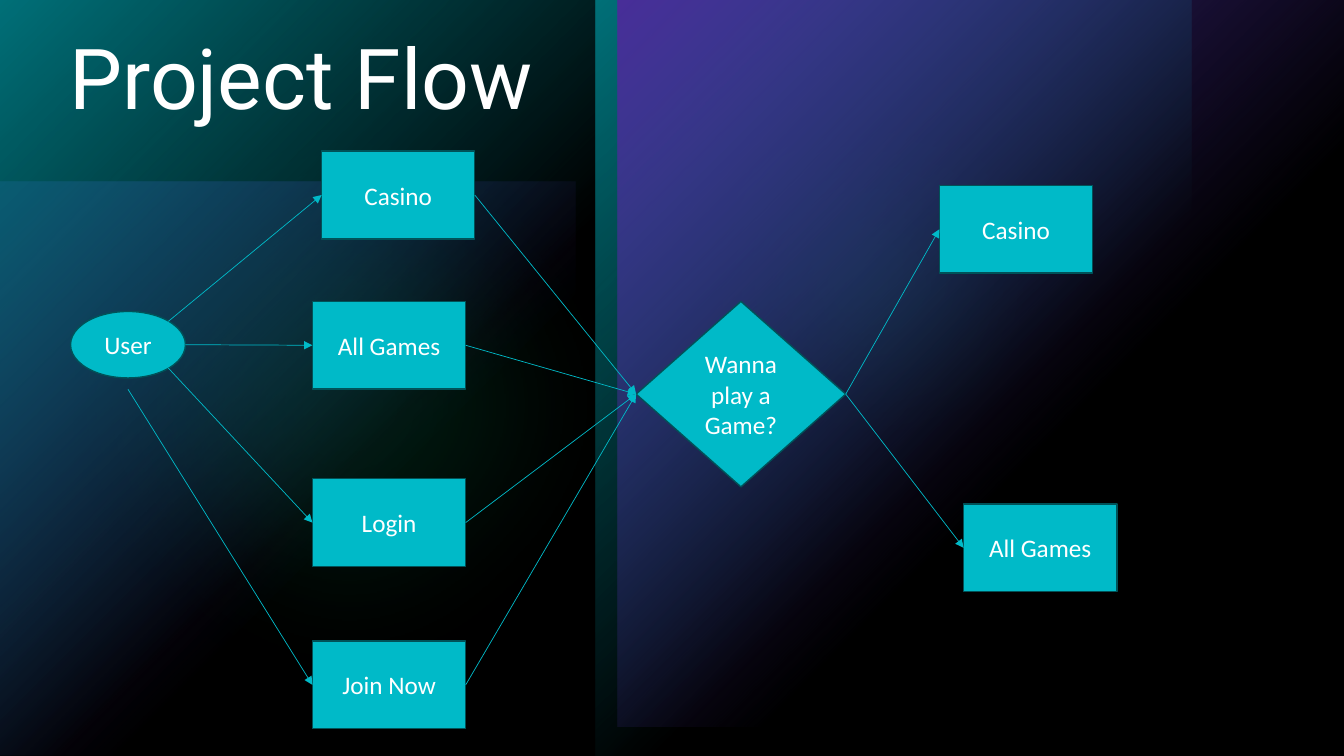
from dataclasses import dataclass

from lxml import etree
from pptx import Presentation
from pptx import util as u
from pptx.dml.color import RGBColor
from pptx.enum import shapes, text
from pptx.oxml import ns

SHAPE = shapes.MSO_SHAPE
LEFT_SITE, RIGHT_SITE = 1, 3
NODE_SIZE = (11.4, 11.6)


@dataclass(frozen=True)
class Theme:
    """Colours, fonts and type sizes of the slide."""
    black: str = "000000"
    white: str = "FFFFFF"
    teal: str = "00BAC8"
    edge: str = "005258"
    purple: str = "794DFF"
    green: str = "00D17D"
    title_font: str = "Roboto"
    node_font: str = "Calibri"
    title_size: int = 60
    node_size: int = 18


THEME = Theme()
WIDTH, HEIGHT = u.Inches(13.333), u.Inches(7.5)


def across(share):
    """Turn a percentage of the slide width into a length."""
    return u.Emu(round(WIDTH * share / 100))


def down(share):
    """Turn a percentage of the slide height into a length."""
    return u.Emu(round(HEIGHT * share / 100))


def frame(left, top, width, height):
    """Turn four percentages into a position and a size."""
    return across(left), down(top), across(width), down(height)


def add_child(parent, tag, **attributes):
    """Append a DrawingML element to a parent element."""
    child = etree.SubElement(parent, ns.qn(tag))
    for name, value in attributes.items():
        child.set(name, str(value))
    return child


def add_colour(parent, colour, alpha):
    """Append a colour with an opacity in percent."""
    element = add_child(parent, "a:srgbClr", val=colour)
    add_child(element, "a:alpha", val=alpha * 1000)


def add_plain(page, kind, place):
    """Draw a shape without shadow or outline."""
    shape = page.shapes.add_shape(kind, *frame(*place))
    shape.shadow.inherit = False
    shape.line.fill.background()
    return shape


def add_fade(page, place, colour, alpha=100):
    """Draw a rectangle that fades out from its top left corner."""
    shape = add_plain(page, SHAPE.RECTANGLE, place)
    shape.fill.gradient()
    gradient = shape.fill._fill._gradFill
    for child in list(gradient):
        gradient.remove(child)
    stops = add_child(gradient, "a:gsLst")
    for position, opacity in ((0, alpha), (60, 0), (100, 0)):
        stop = add_child(stops, "a:gs", pos=position * 1000)
        add_colour(stop, colour, opacity)
    add_child(gradient, "a:lin", ang=45 * 60000, scaled=0)


def add_veil(page, kind, place, colour, alpha):
    """Draw a shape with a transparent solid fill."""
    shape = add_plain(page, kind, place)
    shape.fill.solid()
    shape.fill.fore_color.rgb = RGBColor.from_string(colour)
    value = shape._element.spPr.find(".//" + ns.qn("a:srgbClr"))
    add_child(value, "a:alpha", val=alpha * 1000)
    return shape


def add_glow(page, place, alpha):
    """Draw a green ellipse with a soft edge."""
    shape = add_veil(page, SHAPE.OVAL, place, THEME.green, alpha)
    effects = shape._element.spPr.find(ns.qn("a:effectLst"))
    add_child(effects, "a:softEdge", rad=u.Pt(100))


def add_backdrop(page):
    """Paint the black background with its coloured lights."""
    page.background.fill.solid()
    page.background.fill.fore_color.rgb = RGBColor.from_string(THEME.black)
    add_fade(page, (0, 24, 42.83, 76), THEME.purple, 60)
    add_glow(page, (47.18, 5.73, 35.4, 62.93), 60)
    add_glow(page, (0, 7.47, 52.05, 92.53), 20)
    for left in (0, 44.33):
        add_fade(page, (left, 0, 44.33, 100), THEME.teal)
    add_fade(page, (45.98, 0, 54.02, 96.13), THEME.purple)
    add_veil(page, SHAPE.RECTANGLE, (0, 0, 100, 100), THEME.black, 40)


def write(box, words, font, size):
    """Put one white paragraph, centred vertically, into a box."""
    box.text_frame.text = words
    box.text_frame.word_wrap = True
    box.text_frame.vertical_anchor = text.MSO_ANCHOR.MIDDLE
    para = box.text_frame.paragraphs[0]
    span = para.runs[0]
    span.font.name = font
    span.font.size = u.Pt(size)
    span.font.color.rgb = RGBColor.from_string(THEME.white)
    return para


def add_title(page, words):
    """Write the slide title."""
    box = page.shapes.add_textbox(*frame(4.43, 3.6, 73.73, 14.67))
    write(box, words, THEME.title_font, THEME.title_size).line_spacing = 0.9


def add_node(page, words, left, top, size=NODE_SIZE, kind=SHAPE.RECTANGLE):
    """Draw one labelled step of the flow."""
    node = add_plain(page, kind, (left, top, *size))
    node.fill.solid()
    node.fill.fore_color.rgb = RGBColor.from_string(THEME.teal)
    node.line.color.rgb = RGBColor.from_string(THEME.edge)
    node.line.width = u.Pt(1)
    para = write(node, words, THEME.node_font, THEME.node_size)
    para.alignment = text.PP_ALIGN.CENTER
    return node


def add_arrow(page, source, target, start=None):
    """Link two steps, from a given point or from the right of the source."""
    x, y = start or (0, 0)
    arrow = page.shapes.add_connector(shapes.MSO_CONNECTOR.STRAIGHT, x, y, x, y)
    if start is None:
        arrow.begin_connect(source, RIGHT_SITE)
    arrow.end_connect(target, LEFT_SITE)
    arrow.line.color.rgb = RGBColor.from_string(THEME.teal)
    arrow.line.width = u.Pt(0.5)
    add_child(arrow.line._get_or_add_ln(), "a:tailEnd", type="triangle")
    add_child(arrow._element.spPr, "a:effectLst")


def point_on(node, share_x, share_y):
    """Find a point at given shares of a node's width and height."""
    return (round(node.left + node.width * share_x),
            round(node.top + node.height * share_y))


def add_flow(page):
    """Draw the steps and the arrows between them."""
    options = [add_node(page, *item) for item in (
        ("Casino", 23.93, 20), ("All Games", 23.25, 39.87),
        ("Login", 23.25, 63.33), ("Join Now", 23.25, 84.8))]
    question = add_node(page, "Wanna play a Game?", 47.33, 39.87,
                        (15.6, 24.53), SHAPE.DIAMOND)
    user = add_node(page, "User", 5.25, 41.2, (8.55, 8.8), SHAPE.OVAL)
    games = [add_node(page, *item) for item in (
        ("Casino", 69.9, 24.53), ("All Games", 71.7, 66.67))]
    starts = ((0.85, 0.15), (1, 0.5), (0.85, 0.85), (0.5, 1.17))
    for option, shares in zip(options, starts):
        add_arrow(page, user, option, point_on(user, *shares))
    for option in options:
        add_arrow(page, option, question)
    for game in games:
        add_arrow(page, question, game)


def main():
    """Build and save the deck."""
    deck = Presentation()
    deck.slide_width, deck.slide_height = WIDTH, HEIGHT
    page = deck.slides.add_slide(deck.slide_layouts[6])
    add_backdrop(page)
    add_title(page, "Project Flow")
    add_flow(page)
    deck.save("out.pptx")


if __name__ == "__main__":
    main()
